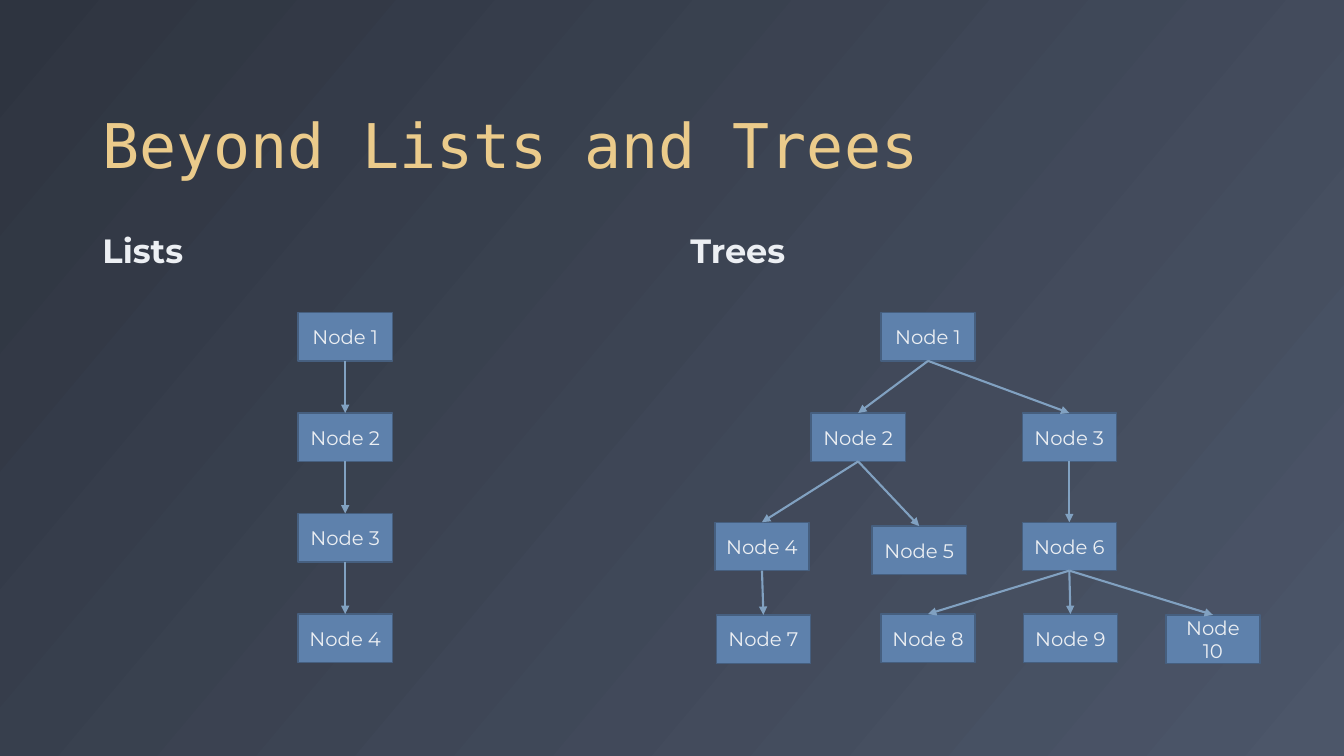
"""Build a slide that sets a linked list beside a tree of nodes."""
from dataclasses import dataclass

from lxml import etree
from pptx import Presentation
from pptx.dml.color import RGBColor
from pptx.enum.shapes import MSO_CONNECTOR, MSO_SHAPE
from pptx.enum.text import MSO_ANCHOR, MSO_AUTO_SIZE, PP_ALIGN
from pptx.oxml.ns import qn
from pptx.util import Pt

RECT = MSO_SHAPE.RECTANGLE
STRAIGHT = MSO_CONNECTOR.STRAIGHT
BOTTOM, MIDDLE = MSO_ANCHOR.BOTTOM, MSO_ANCHOR.MIDDLE
LEFT, CENTER = PP_ALIGN.LEFT, PP_ALIGN.CENTER
FIXED = MSO_AUTO_SIZE.NONE


@dataclass(frozen=True)
class Style:
    font: str
    size: float
    color: str
    bold: bool = False


@dataclass(frozen=True)
class Theme:
    dark: str = "2E3440"
    light: str = "4C5669"
    fill: str = "5E81AC"
    edge: str = "465F7F"
    arrow: str = "81A1C1"
    title: Style = Style("DejaVu Sans Mono", 44, "EBCB8B")
    head: Style = Style("Montserrat", 24, "ECEFF3", True)
    node: Style = Style("Montserrat", 14, "ECEFF3")


@dataclass(frozen=True)
class Label:
    slot: int
    text: str
    left: float
    top: float
    width: float
    height: float
    style: Style


@dataclass(frozen=True)
class Node:
    num: int
    left: float
    top: float
    parent: int = 0


THEME = Theme()
WIDTH, HEIGHT = 67.2, 34.6
TOP, STEP = 223.2, 71.8
ROWS = [TOP + STEP * i for i in range(4)]

LABELS = [
    Label(0, "Beyond Lists and Trees", 66, 28.8, 828, 104.4, THEME.title),
    Label(1, "Lists", 66, 132.5, 406, 64.8, THEME.head),
    Label(3, "Trees", 486, 132.5, 408, 64.8, THEME.head),
]
CHAIN = [Node(i + 1, 213, top, i) for i, top in enumerate(ROWS)]
TREE = [
    Node(1, 629.3, ROWS[0]),
    Node(2, 579.4, ROWS[1], 1),
    Node(3, 730.2, ROWS[1], 1),
    Node(4, 510.7, 373, 2),
    Node(5, 623, 375.8, 2),
    Node(6, 730.2, 373, 3),
    Node(7, 511.7, 439.2, 4),
    Node(8, 629.3, ROWS[3], 6),
    Node(9, 731, ROWS[3], 6),
    Node(10, 832.8, 439.2, 6),
]


def color(code: str) -> RGBColor:
    """Turn a hex code into a colour."""
    return RGBColor.from_string(code)


def write(shape, text: str, style: Style, align, anchor) -> None:
    """Put one styled paragraph into a shape."""
    frame = shape.text_frame
    frame.text = text
    frame.auto_size = FIXED
    frame.word_wrap = True
    frame.vertical_anchor = anchor
    para = frame.paragraphs[0]
    para.alignment = align
    para.space_before = Pt(0)
    font = para.runs[0].font
    font.name = style.font
    font.size = Pt(style.size)
    font.bold = style.bold
    font.color.rgb = color(style.color)


def paint(slide) -> None:
    """Give the slide its slanted gradient."""
    fill = slide.background.fill
    fill.gradient()
    fill.gradient_angle = 320
    for stop, code in zip(fill.gradient_stops, (THEME.dark, THEME.light)):
        stop.color.rgb = color(code)


def place(slide, label: Label) -> None:
    """Move a placeholder and fill it with its label."""
    holder = next(p for p in slide.placeholders
                  if p.placeholder_format.idx == label.slot)
    holder.left, holder.top = Pt(label.left), Pt(label.top)
    holder.width, holder.height = Pt(label.width), Pt(label.height)
    write(holder, label.text, label.style, LEFT, BOTTOM)
    holder.text_frame.paragraphs[0].line_spacing = 0.9


def box(slide, node: Node):
    """Draw one node."""
    shape = slide.shapes.add_shape(
        RECT, Pt(node.left), Pt(node.top), Pt(WIDTH), Pt(HEIGHT))
    shape.shadow.inherit = False
    shape.fill.solid()
    shape.fill.fore_color.rgb = color(THEME.fill)
    shape.line.color.rgb = color(THEME.edge)
    shape.line.width = Pt(1)
    write(shape, f"Node {node.num}", THEME.node, CENTER, MIDDLE)
    return shape


def link(slide, start, end) -> None:
    """Join two nodes with an arrow."""
    arrow = slide.shapes.add_connector(STRAIGHT, Pt(0), Pt(0), Pt(0), Pt(0))
    arrow.begin_connect(start, 2)
    arrow.end_connect(end, 0)
    arrow.line.color.rgb = color(THEME.arrow)
    arrow.line.width = Pt(1.5)
    etree.SubElement(arrow.line._get_or_add_ln(), qn("a:tailEnd"), type="triangle")
    etree.SubElement(arrow.element.spPr, qn("a:effectLst"))


def graph(slide, nodes: list[Node]) -> None:
    """Draw nodes and the arrows from their parents."""
    boxes = {node.num: box(slide, node) for node in nodes}
    for node in nodes:
        if node.parent:
            link(slide, boxes[node.parent], boxes[node.num])


def main() -> None:
    """Build and save the slide."""
    deck = Presentation()
    deck.slide_width, deck.slide_height = Pt(960), Pt(540)
    slide = deck.slides.add_slide(deck.slide_layouts[4])
    paint(slide)
    for label in LABELS:
        place(slide, label)
    for holder in list(slide.placeholders):
        if not holder.text_frame.text:
            holder.element.getparent().remove(holder.element)
    graph(slide, CHAIN)
    graph(slide, TREE)
    deck.save("out.pptx")


if __name__ == "__main__":
    main()
